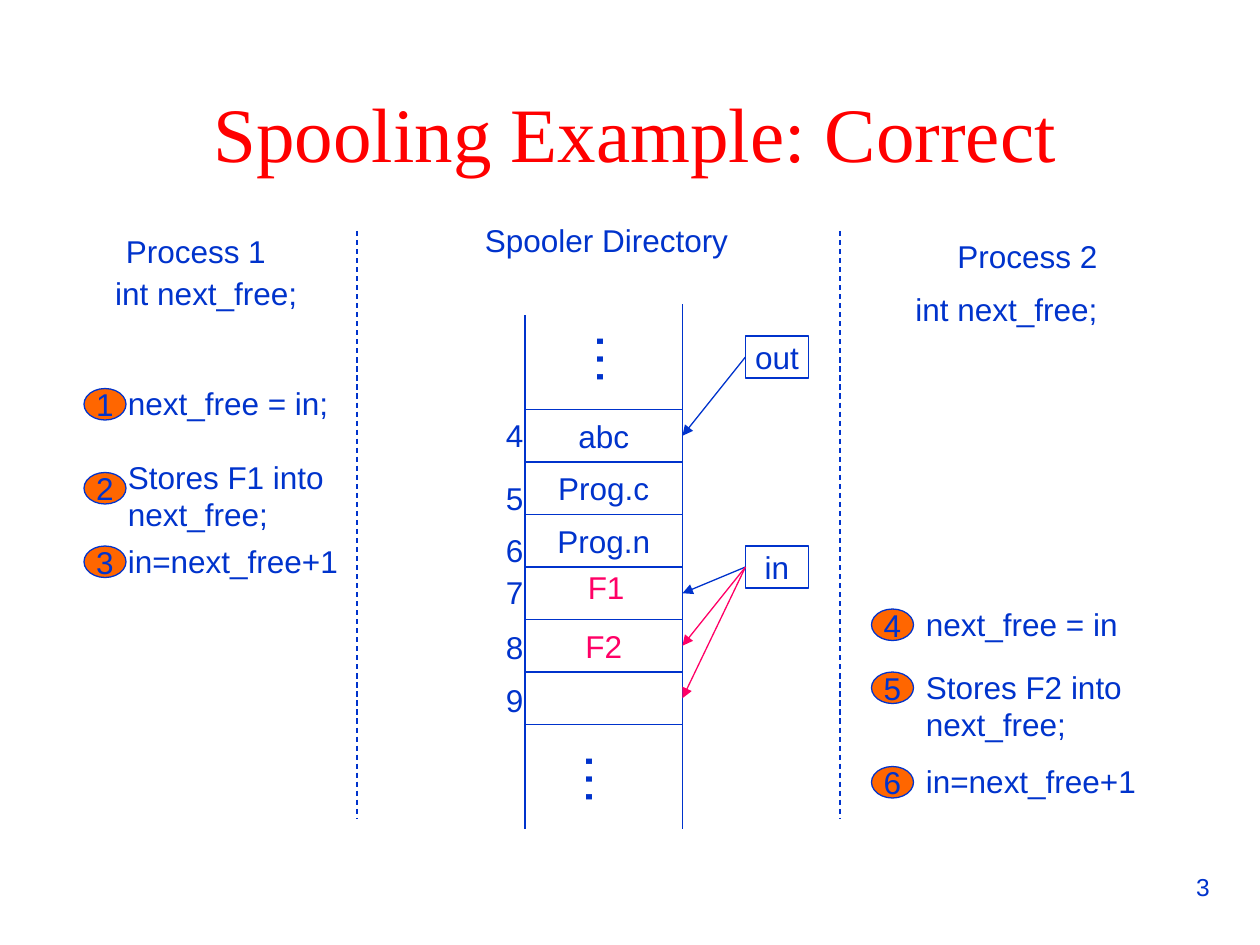
from dataclasses import dataclass
from typing import Any

from lxml import etree
from pptx import Presentation
from pptx.dml.color import RGBColor
from pptx.enum.dml import MSO_LINE
from pptx.enum.shapes import MSO_CONNECTOR, MSO_SHAPE
from pptx.enum.text import MSO_ANCHOR, MSO_AUTO_SIZE, PP_ALIGN
from pptx.oxml.ns import qn
from pptx.util import Inches, Pt

RECTANGLE, OVAL = MSO_SHAPE.RECTANGLE, MSO_SHAPE.OVAL
STRAIGHT, DASH = MSO_CONNECTOR.STRAIGHT, MSO_LINE.DASH
LEFT, CENTER, RIGHT = PP_ALIGN.LEFT, PP_ALIGN.CENTER, PP_ALIGN.RIGHT
TOP, MIDDLE = MSO_ANCHOR.TOP, MSO_ANCHOR.MIDDLE
GROW, FIXED = MSO_AUTO_SIZE.SHAPE_TO_FIT_TEXT, MSO_AUTO_SIZE.NONE

SLIDE_WIDTH, SLIDE_HEIGHT = Inches(10), Inches(7.5)
COLUMNS, ROWS = 120, 90
BLUE, PINK, RED, ORANGE = "0033CC", "FF0066", "FF0000", "FF6600"
LINE_HEIGHT = 4.8

DIRECTORY_LEFT, DIRECTORY_RIGHT, DIRECTORY_TOP = 50, 65, 39
SLOT_HEIGHT = 5
POINTER_LEFT = 71


@dataclass(frozen=True)
class Box:
    column: float
    row: float
    columns: float
    rows: float = LINE_HEIGHT

    def emu(self) -> tuple[int, int, int, int]:
        return (across(self.column), down(self.row),
                across(self.columns), down(self.rows))


@dataclass(frozen=True)
class Step:
    number: int
    action: str
    badge_row: float
    text_row: float
    columns: float


@dataclass(frozen=True)
class Process:
    heading: str
    heading_box: Box
    declaration_box: Box
    badge_column: float
    text_column: float
    steps: tuple[Step, ...]


@dataclass(frozen=True)
class Slot:
    number: int
    label_row: float
    file: str = ""
    color: str = BLUE


@dataclass(frozen=True)
class Pointer:
    name: str
    row: float
    targets: tuple[tuple[int, str], ...]


PROCESSES = (
    Process("Process 1", Box(10.8, 21.5, 15.7), Box(9.8, 25.5, 20.2), 8, 11, (
        Step(1, "next_free = in;", 37, 36, 21.8),
        Step(2, "Stores F1 into\vnext_free;", 45, 43, 21.8),
        Step(3, "in=next_free+1", 52, 51, 22.6))),
    Process("Process 2", Box(90, 22, 15.7), Box(86, 27, 20.2), 83, 87, (
        Step(4, "next_free = in", 58, 57, 21.2),
        Step(5, "Stores F2 into\vnext_free;", 64, 63, 21.8),
        Step(6, "in=next_free+1", 73, 72, 22.6))),
)
SLOTS = (
    Slot(4, 39, "abc"), Slot(5, 45, "Prog.c"), Slot(6, 50, "Prog.n"),
    Slot(7, 54), Slot(8, 59.2, "F2", PINK), Slot(9, 64.3),
)
POINTERS = (
    Pointer("out", 32, ((0, BLUE),)),
    Pointer("in", 52, ((3, BLUE), (4, PINK), (5, PINK))),
)


def across(columns: float) -> int:
    return round(SLIDE_WIDTH * columns / COLUMNS)


def down(rows: float) -> int:
    return round(SLIDE_HEIGHT * rows / ROWS)


def rgb(color: str) -> RGBColor:
    return RGBColor.from_string(color)


def apply(target: Any, values: dict[str, Any]) -> None:
    for name, value in values.items():
        setattr(target, name, value)


def write(holder: Any, text: str, color: str = BLUE, size: float = 18,
          font: str = "Arial", align: Any = LEFT, **frame_values: Any) -> None:
    frame = holder.text_frame
    apply(frame, {"word_wrap": False, "auto_size": FIXED,
                  "vertical_anchor": TOP} | frame_values)
    frame.text = text
    paragraph = frame.paragraphs[0]
    paragraph.alignment = align
    for run in paragraph.runs:
        apply(run.font, {"size": Pt(size), "name": font})
        run.font.color.rgb = rgb(color)


def add_label(slide: Any, text: str, box: Box, **values: Any) -> Any:
    label = slide.shapes.add_textbox(*box.emu())
    write(label, text, **({"auto_size": GROW} | values))
    return label


def add_figure(slide: Any, kind: Any, box: Box, text: str = "",
               fill: str = "", color: str = BLUE) -> None:
    figure = slide.shapes.add_shape(kind, *box.emu())
    figure.shadow.inherit = False
    if fill:
        figure.fill.solid()
        figure.fill.fore_color.rgb = rgb(fill)
    else:
        figure.fill.background()
    figure.line.color.rgb = rgb(BLUE)
    figure.line.width = Pt(0.75)
    if text:
        write(figure, text, color, align=CENTER, vertical_anchor=MIDDLE)


def add_line(slide: Any, start: tuple[float, float], end: tuple[float, float],
             color: str = BLUE, dashed: bool = False, arrow: bool = False) -> None:
    line = slide.shapes.add_connector(
        STRAIGHT, across(start[0]), down(start[1]), across(end[0]), down(end[1]))
    line.line.color.rgb = rgb(color)
    line.line.width = Pt(0.75)
    if dashed:
        line.line.dash_style = DASH
    if arrow:
        outline = line.line._get_or_add_ln()
        etree.SubElement(outline, qn("a:tailEnd"), type="triangle")
    etree.SubElement(line._element.spPr, qn("a:effectLst"))


def add_ellipsis(slide: Any, box: Box) -> None:
    dots = add_label(slide, "…", box, size=32,
                     margin_left=Inches(0.05), margin_right=Inches(0.05),
                     margin_top=Inches(0.1), margin_bottom=Inches(0.1))
    dots.text_frame._txBody.bodyPr.set("vert", "eaVert")


def add_directory(slide: Any) -> None:
    add_line(slide, (DIRECTORY_LEFT, 30), (DIRECTORY_LEFT, 79))
    add_line(slide, (DIRECTORY_RIGHT, 29), (DIRECTORY_RIGHT, 79))
    add_label(slide, "Spooler Directory", Box(45, 20.5, 28.3), word_wrap=True)
    for index, slot in enumerate(SLOTS):
        cell = Box(DIRECTORY_LEFT, DIRECTORY_TOP + index * SLOT_HEIGHT,
                   DIRECTORY_RIGHT - DIRECTORY_LEFT, SLOT_HEIGHT)
        add_figure(slide, RECTANGLE, cell, slot.file, color=slot.color)
        add_label(slide, str(slot.number), Box(47, slot.label_row, 4.1))
    add_label(slide, "F1", Box(54.8, 53.5, 5.9), color=PINK)
    add_ellipsis(slide, Box(54, 30.4, 8.8, 6.6))
    add_ellipsis(slide, Box(53, 70.4, 8.8, 6.6))


def add_pointer(slide: Any, pointer: Pointer) -> None:
    add_figure(slide, RECTANGLE, Box(POINTER_LEFT, pointer.row, 6, 4), pointer.name)
    for index, color in pointer.targets:
        slot_middle = DIRECTORY_TOP + (index + 0.5) * SLOT_HEIGHT
        add_line(slide, (POINTER_LEFT, pointer.row + 2),
                 (DIRECTORY_RIGHT, slot_middle), color, arrow=True)


def add_process(slide: Any, process: Process) -> None:
    add_label(slide, process.heading, process.heading_box)
    add_label(slide, "int next_free;", process.declaration_box)
    for step in process.steps:
        rows = 8.4 if "\v" in step.action else LINE_HEIGHT
        add_label(slide, step.action,
                  Box(process.text_column, step.text_row, step.columns, rows))
        add_figure(slide, OVAL, Box(process.badge_column, step.badge_row, 4, 3),
                   str(step.number), ORANGE)


def main() -> None:
    deck = Presentation()
    apply(deck, {"slide_width": SLIDE_WIDTH, "slide_height": SLIDE_HEIGHT})
    slide = deck.slides.add_slide(deck.slide_layouts[5])
    title = slide.shapes.title
    apply(title, dict(zip(("left", "top", "width", "height"),
                          Box(6, 5, 109, 15).emu())))
    write(title, "Spooling Example: Correct", RED, 44, "Times New Roman", CENTER,
          word_wrap=True, vertical_anchor=MIDDLE)
    for divider in (34, 80):
        add_line(slide, (divider, 22), (divider, 78), dashed=True)
    add_directory(slide)
    for pointer in POINTERS:
        add_pointer(slide, pointer)
    for process in PROCESSES:
        add_process(slide, process)
    add_label(slide, "3", Box(86.4, 82.5, 30, 6.2), size=14, align=RIGHT,
              word_wrap=True, auto_size=FIXED)
    deck.save("out.pptx")


if __name__ == "__main__":
    main()
